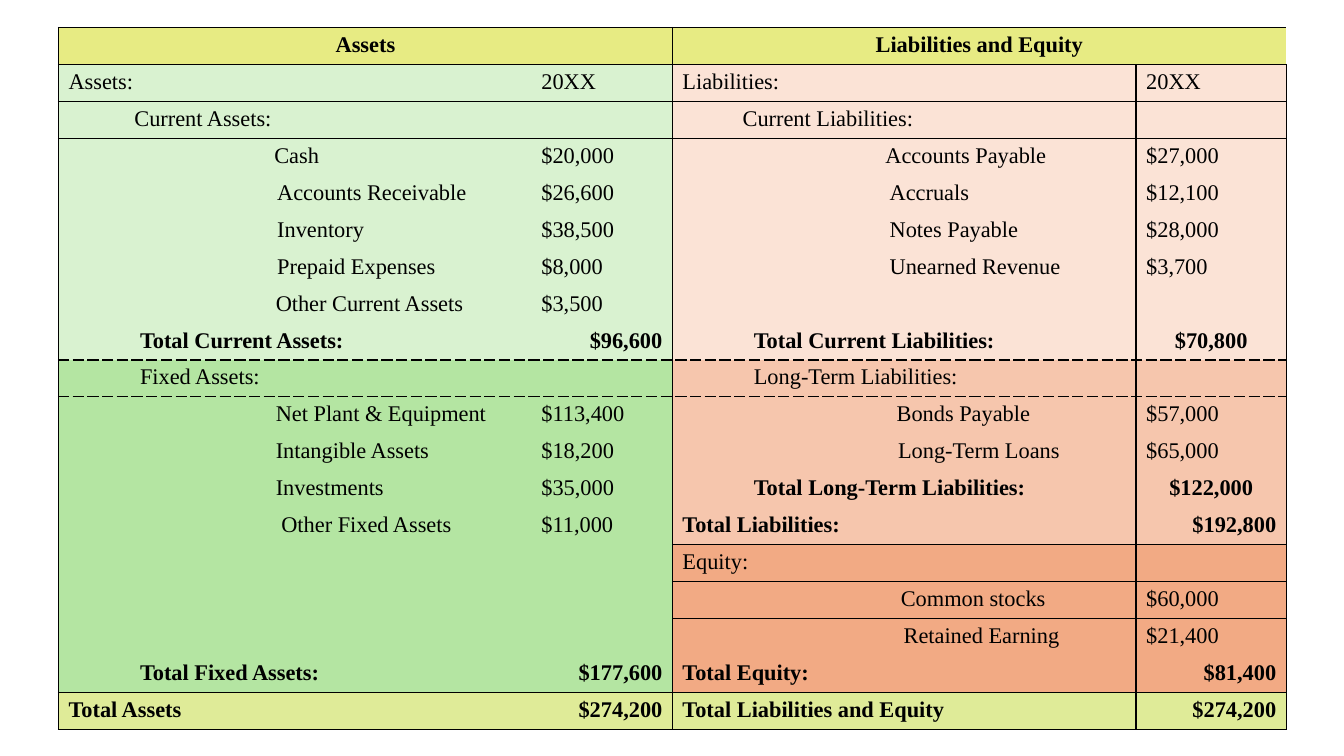
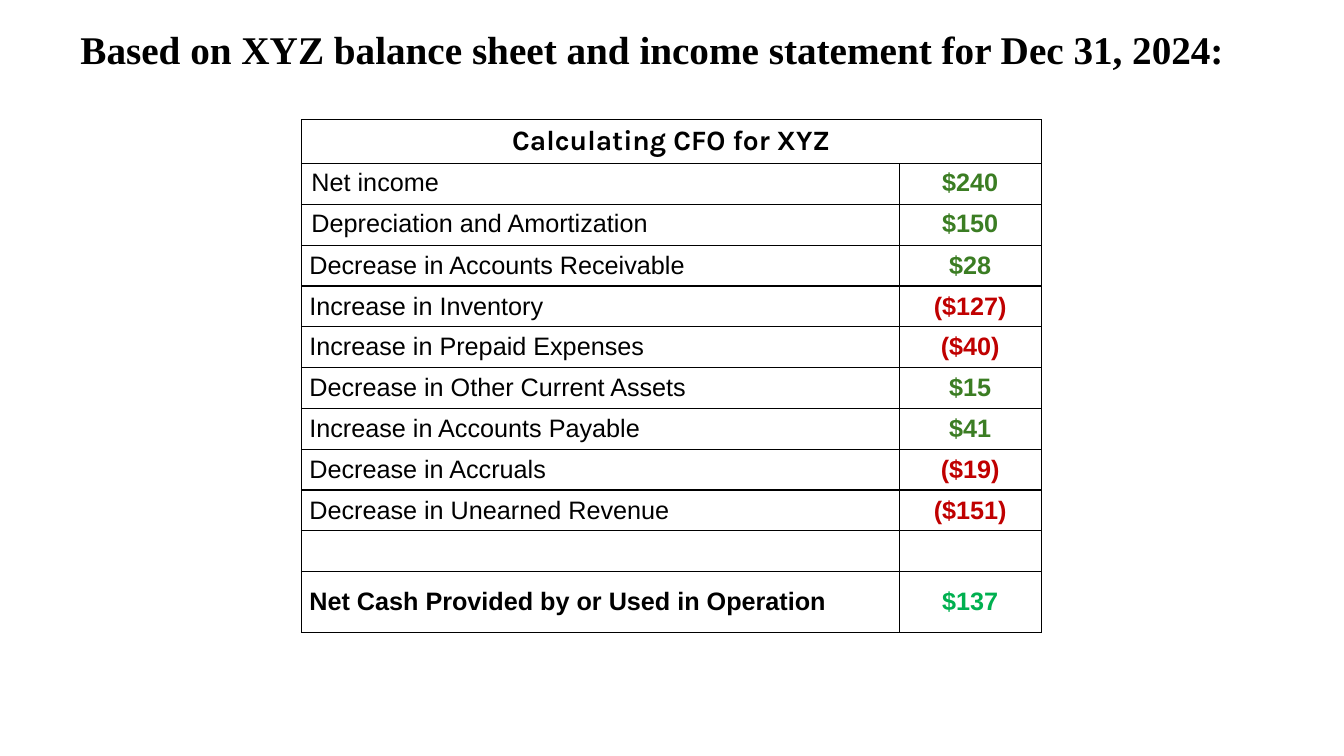
from lxml.etree import SubElement
from pptx import Presentation
from pptx.dml.color import RGBColor
from pptx.enum.text import MSO_ANCHOR, PP_ALIGN
from pptx.oxml.ns import qn
from pptx.util import Pt

COLORS = {
    "black": "000000",
    "header": "E7EB83",
    "grand_total": "DFEB98",
    "current_assets": "D9F2D0",
    "fixed_assets": "B4E5A2",
    "current_liabilities": "FBE3D6",
    "long_term": "F6C6AD",
    "equity": "F2AA84",
    "inflow": "3B7D23",
    "outflow": "C00000",
    "net_cash": "00B050",
}
SERIF, SANS, DISPLAY = "Times New Roman", "Arial", "Karla"
NO_STYLE = "{2D5ABB26-0587-4C30-8999-92F81FD0307C}"
LEFT, CENTER, RIGHT = PP_ALIGN.LEFT, PP_ALIGN.CENTER, PP_ALIGN.RIGHT
SIDES = {"left": "a:lnL", "right": "a:lnR", "top": "a:lnT", "bottom": "a:lnB"}
CELL_MARGIN = 7.2

BLANK_ROW = ("", 0, "", LEFT)
ASSETS = [
    ("Assets:", 0, "20XX", LEFT),
    ("Current Assets:", 47, "", LEFT),
    ("Cash", 147, "$20,000", LEFT),
    ("Accounts Receivable", 149, "$26,600", LEFT),
    ("Inventory", 149, "$38,500", LEFT),
    ("Prepaid Expenses", 149, "$8,000", LEFT),
    ("Other Current Assets", 148, "$3,500", LEFT),
    ("Total Current Assets:", 51, "$96,600", RIGHT),
    ("Fixed Assets:", 51, "", LEFT),
    ("Net Plant & Equipment", 148, "$113,400", LEFT),
    ("Intangible Assets", 148, "$18,200", LEFT),
    ("Investments", 148, "$35,000", LEFT),
    ("Other Fixed Assets", 152, "$11,000", LEFT),
    BLANK_ROW,
    BLANK_ROW,
    BLANK_ROW,
    ("Total Fixed Assets:", 51, "$177,600", RIGHT),
    ("Total Assets", 0, "$274,200", RIGHT),
]
LIABILITIES = [
    ("Liabilities:", 0, "20XX", LEFT),
    ("Current Liabilities:", 43, "", LEFT),
    ("Accounts Payable", 145, "$27,000", LEFT),
    ("Accruals", 148, "$12,100", LEFT),
    ("Notes Payable", 148, "$28,000", LEFT),
    ("Unearned Revenue", 148, "$3,700", LEFT),
    BLANK_ROW,
    ("Total Current Liabilities:", 51, "$70,800", CENTER),
    ("Long-Term Liabilities:", 51, "", LEFT),
    ("Bonds Payable", 153, "$57,000", LEFT),
    ("Long-Term Loans", 154, "$65,000", LEFT),
    ("Total Long-Term Liabilities:", 51, "$122,000", CENTER),
    ("Total Liabilities:", 0, "$192,800", RIGHT),
    ("Equity:", 0, "", LEFT),
    ("Common stocks", 156, "$60,000", LEFT),
    ("Retained Earning", 158, "$21,400", LEFT),
    ("Total Equity:", 0, "$81,400", RIGHT),
    ("Total Liabilities and Equity", 0, "$274,200", RIGHT),
]
ASSET_FILLS = ["current_assets"] * 8 + ["fixed_assets"] * 9 + ["grand_total"]
LIABILITY_FILLS = (["current_liabilities"] * 8 + ["long_term"] * 5
                   + ["equity"] * 4 + ["grand_total"])
SHARED_RULES = {-1, 0, 1, 17, 18}
LIABILITY_RULES = SHARED_RULES | {13, 14}
DASHED_RULE = 8
AMOUNT_DIVIDER_ROWS = {1, 2, *range(11, 19)}

CASH_FLOWS = [
    ("Net income", "$240"),
    ("Depreciation and Amortization", "$150"),
    ("Decrease in Accounts Receivable", "$28"),
    ("Increase in Inventory", "($127)"),
    ("Increase in Prepaid Expenses", "($40)"),
    ("Decrease in Other Current Assets", "$15"),
    ("Increase in Accounts Payable", "$41"),
    ("Decrease in Accruals", "($19)"),
    ("Decrease in Unearned Revenue", "($151)"),
    ("", ""),
    ("Net Cash Provided by or Used in Operation", "$137"),
]


def write(text_holder, text, font, size, color="black", bold=False, align=LEFT):
    """Put one formatted line into a shape or a cell."""
    paragraph = text_holder.text_frame.paragraphs[0]
    paragraph.text = text
    paragraph.alignment = align
    for run in paragraph.runs:
        run.font.name = font
        run.font.size = Pt(size)
        run.font.bold = bold
        run.font.color.rgb = RGBColor.from_string(COLORS[color])


def set_borders(cell, dashes):
    """Draw the cell sides for which a dash style is given."""
    properties = cell._tc.get_or_add_tcPr()
    for side, tag in SIDES.items():
        if dashes.get(side):
            line = SubElement(properties, qn(tag), w=str(Pt(1)))
            fill = SubElement(line, qn("a:solidFill"))
            SubElement(fill, qn("a:srgbClr"), val=COLORS["black"])
            SubElement(line, qn("a:prstDash"), val=dashes[side])


def set_fill(cell, color):
    """Fill a cell with a named colour."""
    cell.fill.solid()
    cell.fill.fore_color.rgb = RGBColor.from_string(COLORS[color])


def add_plain_table(slide, left, top, widths, heights):
    """Add an unstyled table with the given column widths and row heights."""
    frame = slide.shapes.add_table(len(heights), len(widths), Pt(left), Pt(top),
                                   Pt(sum(widths)), Pt(sum(heights)))
    table = frame.table
    table.first_row = table.horz_banding = False
    table._tbl.tblPr.find(qn("a:tableStyleId")).text = NO_STYLE
    for column, width in zip(table.columns, widths):
        column.width = Pt(width)
    for row, height in zip(table.rows, heights):
        row.height = Pt(height)
    return table


def rule_below(row, column):
    """Return the dash style of the rule under a balance sheet cell."""
    if row == DASHED_RULE:
        return "sysDash"
    rules = SHARED_RULES if column < 2 else LIABILITY_RULES
    return "solid" if row in rules else None


def divider_after(row, column):
    """Return the dash style of the divider right of a balance sheet cell."""
    if column == 0 or (column == 2 and row not in AMOUNT_DIVIDER_ROWS):
        return None
    return "solid"


def add_balance_half(table, first_column, heading, entries, fills):
    """Fill the label and amount columns of one half of the balance sheet."""
    header = table.cell(0, first_column)
    header.merge(table.cell(0, first_column + 1))
    write(header, heading, SERIF, 16, bold=True, align=CENTER)
    for row, fill in enumerate(["header"] + fills):
        for column in (first_column, first_column + 1):
            cell = table.cell(row, column)
            cell.margin_bottom = 0
            set_borders(cell, {
                "left": divider_after(row, column - 1),
                "right": divider_after(row, column),
                "top": rule_below(row - 1, column),
                "bottom": rule_below(row, column),
            })
            set_fill(cell, fill)
    for row, (label, indent, amount, align) in enumerate(entries, 1):
        bold = label.startswith("Total")
        label_cell = table.cell(row, first_column)
        label_cell.margin_left = Pt(CELL_MARGIN + indent)
        write(label_cell, label, SERIF, 16, bold=bold)
        write(table.cell(row, first_column + 1), amount, SERIF, 16,
              bold=bold, align=align)


def add_balance_sheet(slide, left, top):
    """Place the two-sided balance sheet table."""
    table = add_plain_table(slide, left, top, [337.7, 100.8, 331.2, 107.3],
                            [26.41] * (len(ASSETS) + 1))
    add_balance_half(table, 0, "Assets", ASSETS, ASSET_FILLS)
    add_balance_half(table, 2, "Liabilities and Equity", LIABILITIES, LIABILITY_FILLS)


def add_title(slide, text, left, top, width, height):
    """Place a slide title."""
    title = slide.shapes.add_textbox(Pt(left), Pt(top), Pt(width), Pt(height))
    title.text_frame.word_wrap = True
    write(title, text, SERIF, 28, bold=True)


def add_cash_flow(slide, left, top):
    """Place the table of operating cash flow."""
    last = len(CASH_FLOWS)
    table = add_plain_table(slide, left, top, [427, 101.5],
                            [31.4] + [29.15] * (last - 1) + [43.6])
    for cell in table.iter_cells():
        set_borders(cell, dict.fromkeys(SIDES, "solid"))
    header = table.cell(0, 0)
    header.merge(table.cell(0, 1))
    write(header, "Calculating CFO for XYZ", DISPLAY, 20, bold=True, align=CENTER)
    for row, (label, amount) in enumerate(CASH_FLOWS, 1):
        label_cell, amount_cell = table.cell(row, 0), table.cell(row, 1)
        if row > 2:
            label_cell.margin_left = Pt(5.7)
            label_cell.vertical_anchor = amount_cell.vertical_anchor = MSO_ANCHOR.MIDDLE
        if row == last:
            color = "net_cash"
        else:
            color = "outflow" if amount.startswith("(") else "inflow"
        write(label_cell, label, SANS, 18, bold=row == last)
        write(amount_cell, amount, SANS, 18, color, True, CENTER)


def main():
    """Build and save the presentation."""
    presentation = Presentation()
    presentation.slide_width, presentation.slide_height = Pt(960), Pt(540)
    blank = presentation.slide_layouts[6]
    add_balance_sheet(presentation.slides.add_slide(blank), 41.8, 19.6)
    slide = presentation.slides.add_slide(blank)
    add_title(slide, "Based on XYZ balance sheet and income statement for Dec 31, 2024:",
              50.4, 14.4, 840, 41)
    add_cash_flow(slide, 215.3, 85.5)
    presentation.save("out.pptx")


if __name__ == "__main__":
    main()
